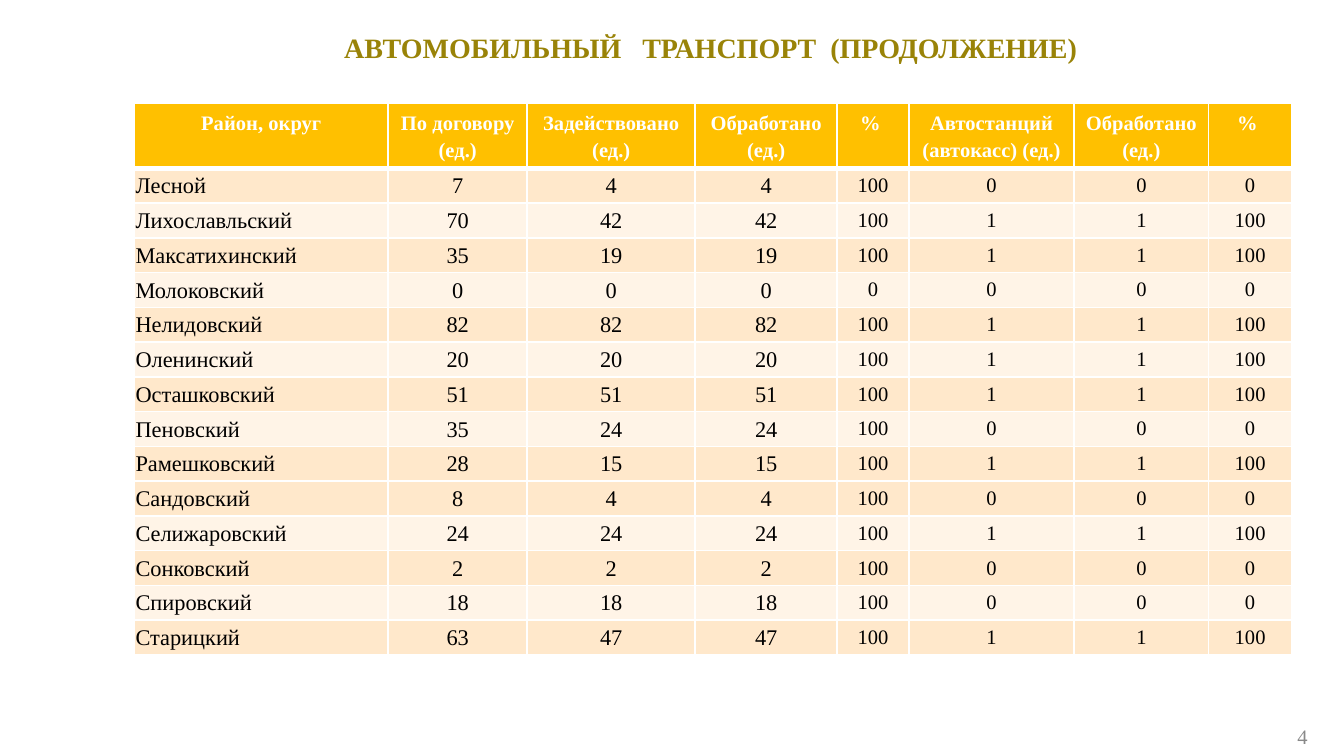
"""Builds the slide with the district table on road transport."""
import lxml.etree
import pptx
import pptx.dml.color
import pptx.enum.text
import pptx.oxml.ns
import pptx.util

Pt = pptx.util.Pt
ALIGN = pptx.enum.text.PP_ALIGN
ANCHOR = pptx.enum.text.MSO_ANCHOR
WIDE = (5.1, 2.6, 5.1, 2.6)
TIGHT = (0.6, 0.6, 0.6, 0)

HEAD = ["Район, округ", "По договору (ед.)", "Задействовано\n(ед.)", "Обработано\n(ед.)",
        "% ", "Автостанций (автокасс) (ед.)", "Обработано (ед.)", "% "]
ROWS = [
    ("Лесной", 7, 4, 4, 100, 0, 0, 0),
    ("Лихославльский", 70, 42, 42, 100, 1, 1, 100),
    ("Максатихинский", 35, 19, 19, 100, 1, 1, 100),
    ("Молоковский", 0, 0, 0, 0, 0, 0, 0),
    ("Нелидовский", 82, 82, 82, 100, 1, 1, 100),
    ("Оленинский", 20, 20, 20, 100, 1, 1, 100),
    ("Осташковский", 51, 51, 51, 100, 1, 1, 100),
    ("Пеновский", 35, 24, 24, 100, 0, 0, 0),
    ("Рамешковский", 28, 15, 15, 100, 1, 1, 100),
    ("Сандовский", 8, 4, 4, 100, 0, 0, 0),
    ("Селижаровский", 24, 24, 24, 100, 1, 1, 100),
    ("Сонковский", 2, 2, 2, 100, 0, 0, 0),
    ("Спировский", 18, 18, 18, 100, 0, 0, 0),
    ("Старицкий", 63, 47, 47, 100, 1, 1, 100),
]
COLS = [136, 74.5, 90, 76, 38.5, 88.5, 72, 44.5]


def color(code):
    return pptx.dml.color.RGBColor.from_string(code)


class Page:
    font = "Times New Roman"
    gold = "FFC000"
    bands = ("FFE8CB", "FFF4E7")
    white = "FFFFFF"

    def __init__(self, slide):
        self.slide = slide

    def put(self, frame, text, size, tint, bold=False, align=ALIGN.CENTER, space=None):
        frame.text = text
        frame.word_wrap = True
        for par in frame.paragraphs:
            par.alignment = align
            if space:
                par.line_spacing = Pt(space)
            for run in par.runs:
                run.font.name = self.font
                run.font.size = Pt(size)
                run.font.bold = bold
                run.font.color.rgb = color(tint)

    def inset(self, item, sides):
        (item.margin_left, item.margin_top,
         item.margin_right, item.margin_bottom) = map(Pt, sides)

    def label(self, text, left, top, width, height, size, tint, anchor, **style):
        box = self.slide.shapes.add_textbox(Pt(left), Pt(top), Pt(width), Pt(height))
        frame = box.text_frame
        self.inset(frame, WIDE)
        frame.vertical_anchor = anchor
        self.put(frame, text, size, tint, **style)

    def border(self, cell, top, bottom):
        props = cell._tc.get_or_add_tcPr()
        name = pptx.oxml.ns.qn
        for side, width in (("L", 1), ("R", 1), ("T", top), ("B", bottom)):
            line = lxml.etree.SubElement(props, name("a:ln" + side), w=str(Pt(width)))
            fill = lxml.etree.SubElement(line, name("a:solidFill"))
            lxml.etree.SubElement(fill, name("a:srgbClr"), val=self.white)

    def cell(self, cell, text, fill, sides, anchor, top, bottom, **style):
        self.inset(cell, sides)
        cell.vertical_anchor = anchor
        self.border(cell, top, bottom)
        cell.fill.solid()
        cell.fill.fore_color.rgb = color(fill)
        self.put(cell.text_frame, text, **style)

    def table(self, left, top, cols, head, rows, first, step):
        height = first + step * len(rows)
        grid = self.slide.shapes.add_table(
            len(rows) + 1, len(cols), Pt(left), Pt(top), Pt(sum(cols)), Pt(height)).table
        grid.horz_banding = False
        for col, width in zip(grid.columns, cols):
            col.width = Pt(width)
        for i, row in enumerate(grid.rows):
            row.height = Pt(step if i else first)
        for c, text in enumerate(head):
            self.cell(grid.cell(0, c), text, self.gold, WIDE, ANCHOR.TOP, 1, 3,
                      size=11, tint=self.white, bold=True, space=14.4)
        for r, row in enumerate(rows):
            fill = self.bands[r % 9 % 2]
            for c, value in enumerate(row):
                main = c < 4
                self.cell(grid.cell(r + 1, c), str(value), fill, TIGHT if main else WIDE,
                          ANCHOR.MIDDLE, 1 if r else 3, 1, size=12 if main else 11,
                          tint="000000", align=ALIGN.CENTER if c else ALIGN.LEFT)


def main():
    deck = pptx.Presentation()
    deck.slide_width, deck.slide_height = Pt(720), Pt(405)
    page = Page(deck.slides.add_slide(deck.slide_layouts[6]))
    page.label("4", 543.6, 383.8, 162, 21.6, 11, "898989", ANCHOR.MIDDLE, align=ALIGN.RIGHT)
    page.label("АВТОМОБИЛЬНЫЙ   ТРАНСПОРТ  (ПРОДОЛЖЕНИЕ)", 94.3, 13.7, 573, 46,
               15, "998308", ANCHOR.TOP, bold=True)
    page.table(72, 55.4, COLS, HEAD, ROWS, 34.8, 18.65)
    deck.save("out.pptx")


if __name__ == "__main__":
    main()
